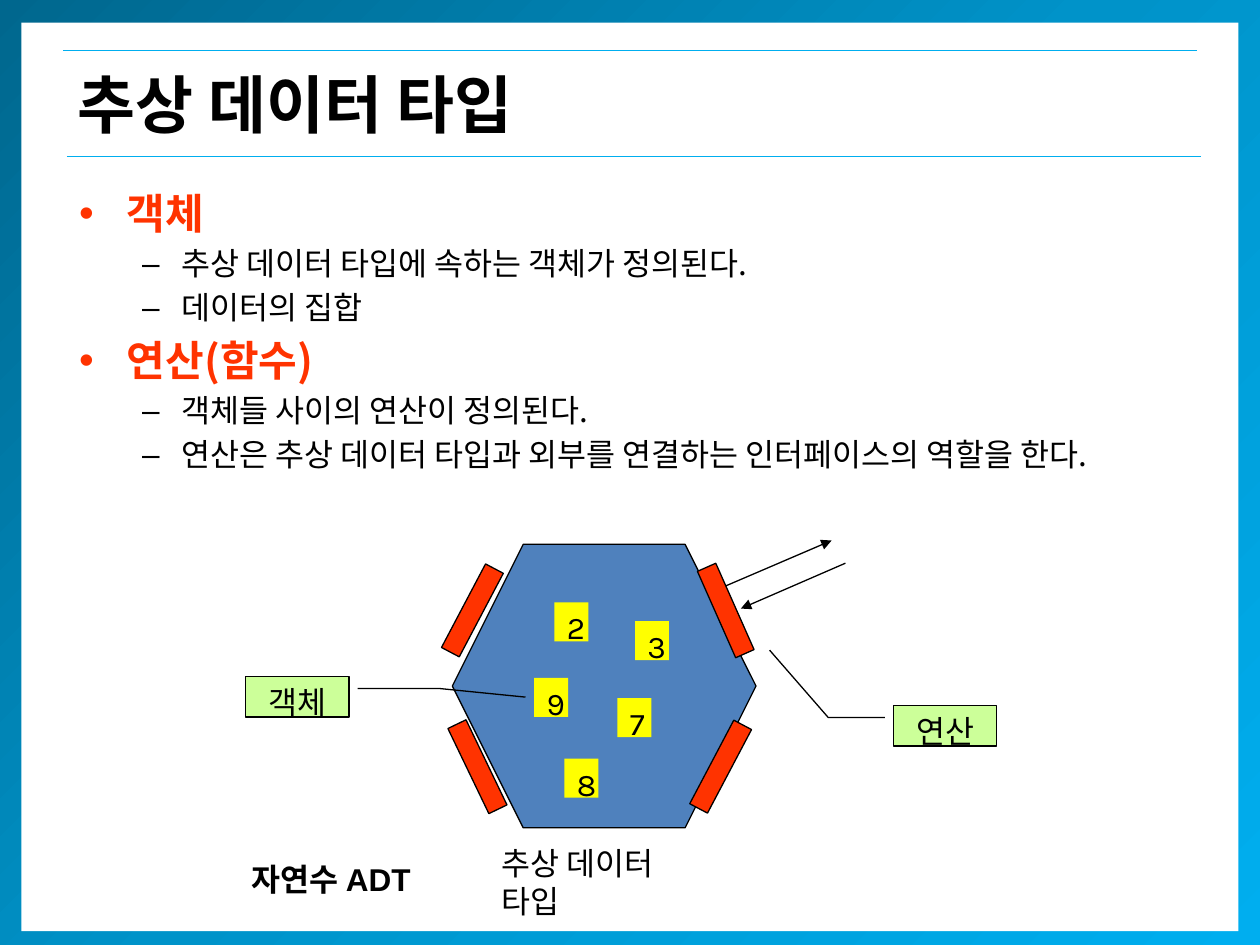
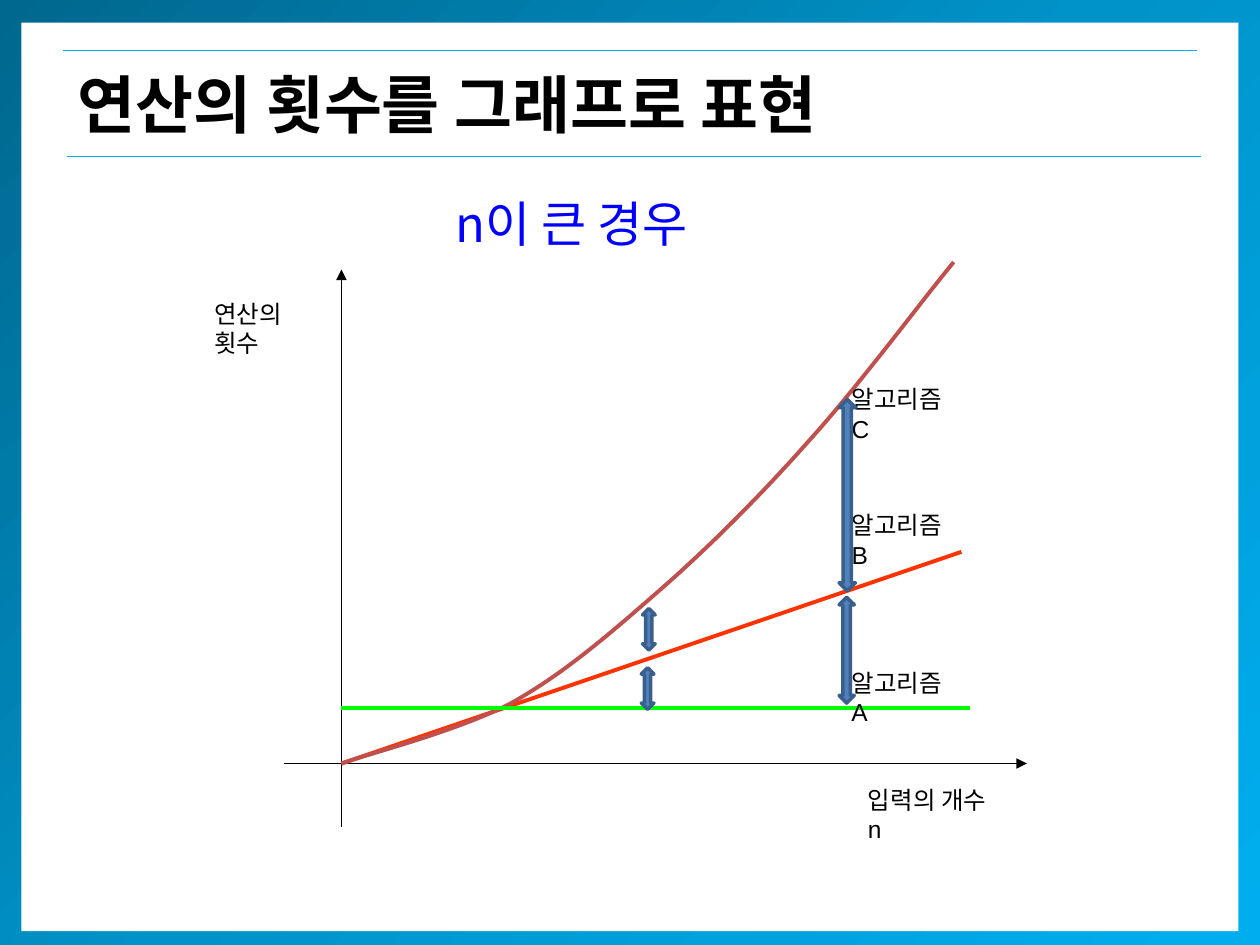
from pptx import Presentation
from pptx import util as u
from pptx.dml.color import RGBColor
from pptx.enum import shapes, text
from pptx.oxml import ns, xmlchemy
from pptx.oxml import parse_xml
from copy import deepcopy

COLORS = {
    "deep": "00678E", "mid": "0093C9", "sky": "00AEEF", "white": "FFFFFF",
    "black": "000000", "orange": "FF3300", "blue": "0000FF", "steel": "4F81BD",
    "steel_edge": "3A5F8C", "yellow": "FFFF00", "lime": "CCFF99",
    "green": "00FF00", "brick": "C0504D",
}
KOREAN, LATIN, DIGIT = "Noto Sans CJK KR", "Arial", "Karla"
PRESET = shapes.MSO_SHAPE


def rgb(name):
    return RGBColor.from_string(COLORS[name])


def drawing_element(tag, attributes=""):
    return parse_xml(f"<a:{tag} {ns.nsdecls('a')} {attributes}/>")


def style_run(paragraph, size, font=KOREAN, color="black", bold=False):
    for run in paragraph.runs:
        run.font.size, run.font.bold, run.font.name = u.Pt(size), bold, font
        run.font.color.rgb = rgb(color)
        run._r.get_or_add_rPr().append(
            drawing_element("ea", f'typeface="{KOREAN}"'))


def write(shape, wording, size, align=text.PP_ALIGN.LEFT,
          anchor=text.MSO_ANCHOR.TOP, **style):
    frame = shape.text_frame
    frame.word_wrap = True
    frame.vertical_anchor = anchor
    frame.text = wording
    frame.paragraphs[0].alignment = align
    style_run(frame.paragraphs[0], size, **style)


def add_label(slide, box, wording, size, **style):
    label = slide.shapes.add_textbox(*map(u.Inches, box))
    write(label, wording, size, **style)


def add_block(slide, preset, box, fill, line=None, width=0.75):
    shape = slide.shapes.add_shape(preset, *map(u.Inches, box))
    shape.shadow.inherit = False
    shape.fill.solid()
    shape.fill.fore_color.rgb = rgb(fill)
    if line:
        shape.line.color.rgb = rgb(line)
        shape.line.width = u.Pt(width)
    else:
        shape.line.fill.background()
    return shape


def add_line(slide, start, end, color="black", width=0.75, arrow=False):
    line = slide.shapes.add_connector(
        shapes.MSO_CONNECTOR.STRAIGHT, *map(u.Inches, (*start, *end)))
    line.line.color.rgb = rgb(color)
    line.line.width = u.Pt(width)
    if arrow:
        line.line._get_or_add_ln().append(
            drawing_element("tailEnd", 'type="triangle"'))
    line._element.spPr.append(drawing_element("effectLst"))


# Shared frame: gradient border, white page, title between two rules
def add_frame(presentation, title):
    slide = presentation.slides.add_slide(presentation.slide_layouts[6])
    border = add_block(slide, PRESET.RECTANGLE, (0, 0, 10, 7.5), "deep")
    border.fill.gradient()
    border.fill.gradient_angle = 315
    stop_list = border._element.spPr.find(".//" + ns.qn("a:gsLst"))
    stop_list.insert(1, deepcopy(stop_list[0]))
    for stop, color, position in zip(border.fill.gradient_stops,
                                     ("deep", "mid", "sky"), (0, 0.5, 1)):
        stop.color.rgb = rgb(color)
        stop.position = position
    add_block(slide, PRESET.RECTANGLE, (0.17, 0.18, 9.66, 7.21), "white")
    for left, top in ((0.5, 0.4), (0.53, 1.24)):
        add_line(slide, (left, top), (left + 9, top), "sky")
    add_label(slide, (0.52, 0.4, 9.07, 0.84), title, 36, bold=True,
              anchor=text.MSO_ANCHOR.MIDDLE)
    return slide


# Two-level bullet list
def add_bullets(slide, box, topics):
    frame = slide.shapes.add_textbox(*map(u.Inches, box)).text_frame
    frame.word_wrap = True
    lines = [line for topic, details in topics
             for line in [(topic, True), *((detail, False) for detail in details)]]
    for index, (wording, is_topic) in enumerate(lines):
        paragraph = frame.add_paragraph() if index else frame.paragraphs[0]
        paragraph.text = wording
        size = 24 if is_topic else 18
        style_run(paragraph, size, bold=is_topic,
                  color="orange" if is_topic else "black")
        paragraph.space_before = u.Pt(size * 0.2)
        margin, indent, bullet = (0.38, -0.38, "•") if is_topic else (0.81, -0.31, "–")
        properties = paragraph._p.get_or_add_pPr()
        properties.set("marL", str(u.Inches(margin)))
        properties.set("indent", str(u.Inches(indent)))
        properties.append(drawing_element("buFont", f'typeface="{LATIN}"'))
        properties.append(drawing_element("buChar", f'char="{bullet}"'))


# Hexagon holding numbers, with operations as gates on its edges
def add_adt_diagram(slide, left, top):
    def at(x, y):
        return left + x, top + y

    add_block(slide, PRESET.HEXAGON, (*at(0, 0), 2.41, 2.25), "steel", "black")
    numbers = {"2": (0.81, 0.46), "3": (1.45, 0.61), "9": (0.65, 1.06),
               "7": (1.31, 1.22), "8": (0.89, 1.7)}
    for number, corner in numbers.items():
        tile = add_block(slide, PRESET.RECTANGLE, (*at(*corner), 0.27, 0.31), "yellow")
        write(tile, number, 18, font=DIGIT)

    gates = ((2.09, 0.15, -23.9), (2.05, 1.39, 27.8),
             (0.08, 0.15, 27.8), (0.12, 1.39, -25.7))
    for x, y, angle in gates:
        gate = add_block(slide, PRESET.RECTANGLE, (*at(x, y), 0.16, 0.75),
                         "orange", "black")
        gate.rotation = angle
    add_line(slide, at(3.12, 0.15), at(2.29, 0.51), arrow=True)
    add_line(slide, at(2.17, 0.33), at(3.01, -0.03), arrow=True)

    callouts = (
        ("연산", (3.5, 1.28), (0.297, -0.083, 0.297, -0.63, -1.376, -1.198)),
        ("객체", (-1.64, 1.05), (0.297, 1.083, 0.297, 1.882, 0.508, 2.708)))
    for wording, corner, bends in callouts:
        callout = add_block(slide, PRESET.LINE_CALLOUT_2, (*at(*corner), 0.82, 0.32),
                            "lime", "black")
        for index, bend in enumerate(bends):
            callout.adjustments[index] = bend
        write(callout, wording, 18, align=text.PP_ALIGN.CENTER)

    add_label(slide, (*at(0.29, 2.33), 1.73, 0.31), "추상 데이터 타입", 18)
    add_label(slide, (*at(-1.69, 2.46), 1.66, 0.4), "자연수 ADT", 18,
              font=LATIN, bold=True)


def curve_points(start, segments, steps=16):
    points = [start]
    for first, second, end in segments:
        begin = points[-1]
        for step in range(1, steps + 1):
            t = step / steps
            points.append(tuple(
                (1 - t) ** 3 * a + 3 * (1 - t) ** 2 * t * b
                + 3 * (1 - t) * t ** 2 * c + t ** 3 * d
                for a, b, c, d in zip(begin, first, second, end)))
    return points


# Growth of three algorithms, measured from the origin of the axes
def add_growth_graph(slide, left, top):
    def at(x, y):
        return left + x, top + y

    add_line(slide, at(0, 0.5), at(0, -3.92), arrow=True)
    add_line(slide, at(-0.46, 0), at(5.44, 0), arrow=True)
    add_line(slide, at(0, 0), at(4.92, -1.68), "orange", 2.25)

    points = curve_points((0, 0), (
        ((0.22, -0.08), (0.9, -0.25), (1.33, -0.47)),
        ((1.75, -0.7), (2.12, -1.02), (2.52, -1.37)),
        ((2.91, -1.71), (3.32, -2.12), (3.71, -2.56)),
        ((4.1, -2.99), (4.62, -3.69), (4.86, -3.98))))
    points = [tuple(map(u.Inches, at(*point))) for point in points]
    builder = slide.shapes.build_freeform(*points[0])
    builder.add_line_segments(points[1:], close=False)
    curve = builder.convert_to_shape()
    curve.shadow.inherit = False
    curve.fill.background()
    curve.line.color.rgb = rgb("brick")
    curve.line.width = u.Pt(2.25)
    add_line(slide, at(0, -0.44), at(4.99, -0.44), "green", 2.25)

    labels = (("입력의 개수 n", 4.08, 0.12, 1.24), ("연산의 횟수", -1.11, -3.74, 1.08),
              ("알고리즘 A", 3.95, -0.81, 1.03), ("알고리즘 B", 3.95, -2.06, 1.01),
              ("알고리즘 C", 3.95, -3.06, 1.02))
    for wording, x, y, width in labels:
        add_label(slide, (*at(x, y), width, 0.28), wording, 14, font=LATIN)

    # Gaps between the algorithms
    gaps = ((3.95, -2.89, 0.13, 1.52), (3.95, -1.32, 0.12, 0.84),
            (2.39, -1.23, 0.1, 0.33), (2.38, -0.76, 0.1, 0.33))
    for x, y, width, height in gaps:
        add_block(slide, PRESET.UP_DOWN_ARROW, (*at(x, y), width, height),
                  "steel", "steel_edge", 2)


def main():
    presentation = Presentation()
    presentation.slide_width, presentation.slide_height = u.Inches(10), u.Inches(7.5)

    slide = add_frame(presentation, "추상 데이터 타입")
    add_bullets(slide, (0.53, 1.44, 9, 4.95), (
        ("객체", ("추상 데이터 타입에 속하는 객체가 정의된다.", "데이터의 집합")),
        ("연산(함수)", ("객체들 사이의 연산이 정의된다.",
                    "연산은 추상 데이터 타입과 외부를 연결하는 인터페이스의 역할을 한다."))))
    add_adt_diagram(slide, 3.59, 4.32)

    slide = add_frame(presentation, "연산의 횟수를 그래프로 표현")
    add_growth_graph(slide, 2.71, 6.06)
    add_label(slide, (3.52, 1.49, 3.27, 0.57), "n이 큰 경우", 28, color="blue")

    presentation.save("out.pptx")


if __name__ == "__main__":
    main()
